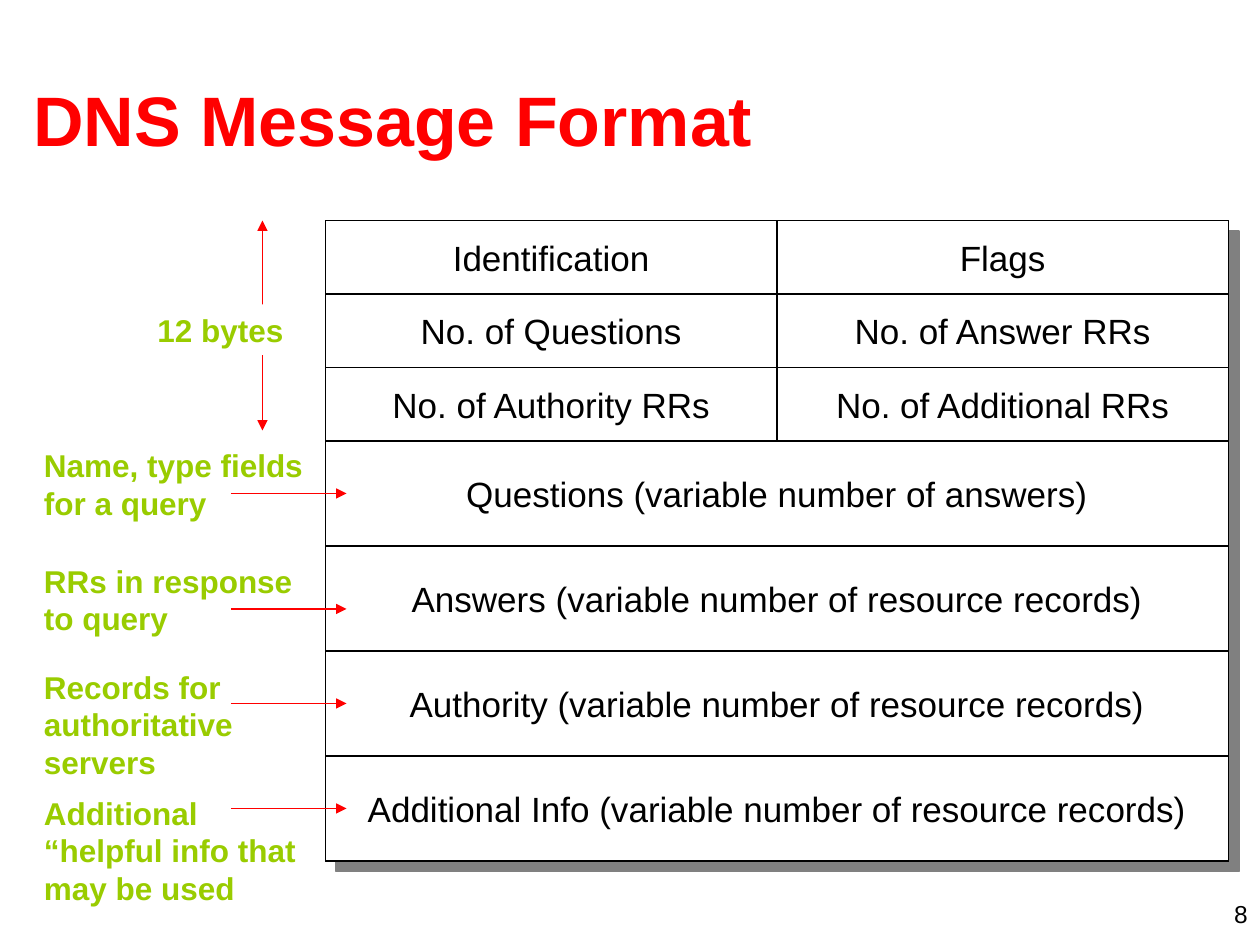
from lxml import etree
from pptx import Presentation
from pptx.dml.color import RGBColor
from pptx.enum.shapes import MSO_CONNECTOR, MSO_SHAPE
from pptx.enum.text import MSO_ANCHOR, PP_ALIGN
from pptx.oxml import parse_xml
from pptx.oxml.ns import nsdecls, qn
from pptx.util import Pt

PX = 7620  # EMU per px, 120 px to the inch
BLACK, WHITE, RED, GREEN, GRAY = "000000", "FFFFFF", "FF0000", "99CC00", "808080"

HEADER_ROWS = [
    ("Identification", "Flags"),
    ("No. of Questions", "No. of Answer RRs"),
    ("No. of Authority RRs", "No. of Additional RRs"),
]
SECTIONS = [
    "Questions (variable number of answers)",
    "Answers (variable number of resource records)",
    "Authority (variable number of resource records)",
    "Additional Info (variable number of resource records)",
]
# Note, top, height and arrow height, measured from the top of the notes region
NOTES = [
    ("Name, type fields for a query", 0, 84, 51),
    ("RRs in response to query", 110, 84, 161),
    ("Records for authoritative servers", 211, 120, 251),
    ("Additional “helpful info that may be used", 331, 120, 351),
]


def px(*lengths):
    return [length * PX for length in lengths]


def color(hex_code):
    return RGBColor.from_string(hex_code)


def write(shape, text, size, hex_code, bold=False, align=PP_ALIGN.LEFT,
          anchor=MSO_ANCHOR.TOP, wrap=True):
    frame = shape.text_frame
    frame.text = text
    frame.word_wrap = wrap
    frame.vertical_anchor = anchor
    paragraph = frame.paragraphs[0]
    paragraph.alignment = align
    font = paragraph.runs[0].font
    font.name, font.size, font.bold = "Arial", Pt(size), bold
    font.color.rgb = color(hex_code)


def add_label(slide, box, text, size, hex_code, **style):
    label = slide.shapes.add_textbox(*px(*box))
    write(label, text, size, hex_code, **style)
    return label


def add_box(slide, box):
    rectangle = slide.shapes.add_shape(MSO_SHAPE.RECTANGLE, *px(*box))
    rectangle.shadow.inherit = False
    rectangle.fill.solid()
    rectangle.fill.fore_color.rgb = color(WHITE)
    rectangle.line.color.rgb = color(BLACK)
    rectangle.line.width = Pt(0.75)
    return rectangle


def add_field(slide, box, text):
    write(add_box(slide, box), text, 20, BLACK, align=PP_ALIGN.CENTER,
          anchor=MSO_ANCHOR.MIDDLE, wrap=False)


def add_arrow(slide, start, end, both_ends=False):
    arrow = slide.shapes.add_connector(MSO_CONNECTOR.STRAIGHT, *px(*start, *end))
    arrow.line.color.rgb = color(RED)
    arrow.line.width = Pt(0.75)
    line = arrow.line._get_or_add_ln()
    for tag in ("a:headEnd", "a:tailEnd") if both_ends else ("a:tailEnd",):
        etree.SubElement(line, qn(tag), type="triangle")
    etree.SubElement(arrow._element.spPr, qn("a:effectLst"))


def draw_message(slide, left, top, width, height):
    # Backing panel with the drop shadow
    panel = add_box(slide, (left, top, width, height))
    panel._element.spPr.find(qn("a:effectLst")).append(parse_xml(
        f'<a:outerShdw {nsdecls("a")} dist="{Pt(8.5)}" dir="2700000" algn="ctr" '
        f'rotWithShape="0"><a:srgbClr val="{GRAY}"/></a:outerShdw>'))

    # Fixed header, two fields a row
    row_height, field_width = 70, width // 2
    for row, fields in enumerate(HEADER_ROWS):
        for column, field in enumerate(fields):
            add_field(slide, (left + column * field_width, top + row * row_height,
                              field_width, row_height), field)

    # Variable sections share the remaining height
    header_height = row_height * len(HEADER_ROWS)
    section_height = (height - header_height) // len(SECTIONS)
    for index, section in enumerate(SECTIONS):
        add_field(slide, (left, top + header_height + index * section_height,
                          width, section_height), section)


def draw_notes(slide, left, top, width):
    for note, offset, height, arrow_offset in NOTES:
        add_label(slide, (left, top + offset, width, height), note, 18, GREEN, bold=True)
        arrow_y = top + arrow_offset
        add_arrow(slide, (left + 190, arrow_y), (left + 300, arrow_y))


def draw_header_size(slide, left, top, width, height):
    arrow_x = left + 112
    add_arrow(slide, (arrow_x, top), (arrow_x, top + height), both_ends=True)
    size_label = add_label(slide, (left, top + 80, width, 48), "12 bytes", 18, GREEN, bold=True)
    size_label.fill.solid()
    size_label.fill.fore_color.rgb = color(WHITE)


def main():
    presentation = Presentation()
    presentation.slide_width, presentation.slide_height = px(1200, 900)
    slide = presentation.slides.add_slide(presentation.slide_layouts[6])

    # Page number and title
    add_label(slide, (920, 850, 280, 30), "8", 14, BLACK, align=PP_ALIGN.RIGHT)
    add_label(slide, (20, 38, 1150, 150), "DNS Message Format", 40, RED,
              bold=True, anchor=MSO_ANCHOR.MIDDLE)

    # Message layout with its explanations
    draw_message(slide, 310, 210, 860, 610)
    draw_notes(slide, 30, 419, 280)
    draw_header_size(slide, 138, 210, 162, 200)

    presentation.save("out.pptx")


if __name__ == "__main__":
    main()
